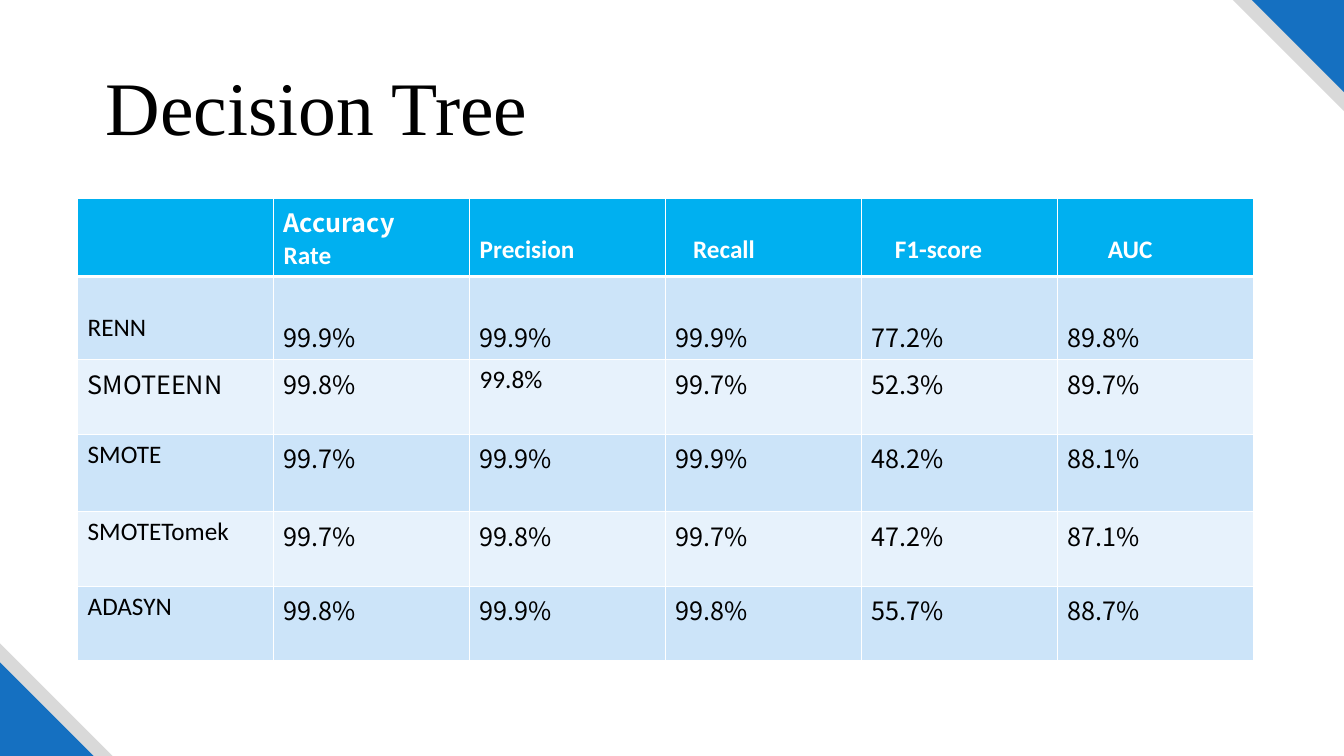
from lxml import etree
from pptx import Presentation
from pptx.dml.color import RGBColor
from pptx.enum.shapes import MSO_SHAPE
from pptx.enum.text import MSO_ANCHOR, PP_ALIGN
from pptx.oxml.ns import qn
from pptx.util import Cm, Pt

TRIANGLE = MSO_SHAPE.RIGHT_TRIANGLE
BOTTOM = MSO_ANCHOR.BOTTOM
LEFT = PP_ALIGN.LEFT
LATIN = "Calibri"
SANS = "Noto Sans CJK SC"
WIDTH, HEIGHT = 33.87, 19.05


def color(value):
    return RGBColor.from_string(value)


def add_borders(cell, widths):
    properties = cell._tc.get_or_add_tcPr()
    for index, (side, width) in enumerate(widths.items()):
        line = etree.Element(qn(f"a:{side}"), w=str(Pt(width)))
        fill = etree.SubElement(line, qn("a:solidFill"))
        etree.SubElement(fill, qn("a:srgbClr"), val="FFFFFF")
        properties.insert(index, line)


deck = Presentation()
deck.slide_width, deck.slide_height = Cm(WIDTH), Cm(HEIGHT)
page = deck.slides.add_slide(deck.slide_layouts[5])

corners = [
    (0, HEIGHT - 2.84, 2.84, 0, "D9D9D9"),
    (0, HEIGHT - 2.36, 2.36, 0, "1570C1"),
    (WIDTH - 2.8, 0, 2.8, 180, "D9D9D9"),
    (WIDTH - 2.32, 0, 2.32, 180, "1570C1"),
]
for left, top, size, rotation, fill in corners:
    corner = page.shapes.add_shape(TRIANGLE, Cm(left), Cm(top), Cm(size), Cm(size))
    corner.rotation = rotation
    corner.shadow.inherit = False
    corner.fill.solid()
    corner.fill.fore_color.rgb = color(fill)
    corner.line.fill.background()

title = page.shapes.title
title.left, title.top, title.width, title.height = Cm(2.41), Cm(-0.03), Cm(29.11), Cm(4.8)
frame = title.text_frame
frame.text = "Decision Tree"
frame.word_wrap = True
frame.vertical_anchor = BOTTOM
frame.margin_bottom = Cm(0.94)
para = frame.paragraphs[0]
para.alignment = LEFT
para.line_spacing = 0.9
span = para.runs[0]
span.font.name = "Times New Roman"
span.font.size = Pt(54)
span.font.color.rgb = color("000000")

rows = [
    ["", "Accuracy\nRate", "Precision", "Recall", "F1-score", "AUC"],
    ["RENN", "99.9%", "99.9%", "99.9%", "77.2%", "89.8%"],
    ["SMOTEENN", "99.8%", "99.8%", "99.7%", "52.3%", "89.7%"],
    ["SMOTE", "99.7%", "99.9%", "99.9%", "48.2%", "88.1%"],
    ["SMOTETomek", "99.7%", "99.8%", "99.7%", "47.2%", "87.1%"],
    ["ADASYN", "99.8%", "99.9%", "99.8%", "55.7%", "88.7%"],
]
row_heights = [1.97, 2.09, 1.88, 1.95, 1.88, 1.88]
header_indents = [0.25, 0.25, 0.25, 0.69, 0.83, 1.26]
column_width = 4.94
table = page.shapes.add_table(
    len(rows), len(rows[0]), Cm(1.96), Cm(5), Cm(6 * column_width), Cm(sum(row_heights))
).table
for column in table.columns:
    column.width = Cm(column_width)

for row, texts in enumerate(rows):
    table.rows[row].height = Cm(row_heights[row])
    header = row == 0
    for column, text in enumerate(texts):
        cell = table.cell(row, column)
        cell.text_frame.text = text
        cell.fill.solid()
        fill = "00B0F0" if header else ("E7F2FC", "CCE4F9")[row % 2]
        cell.fill.fore_color.rgb = color(fill)
        add_borders(cell, {
            "lnL": 1,
            "lnR": 1,
            "lnT": 3 if row == 1 else 1,
            "lnB": 3 if header else 1,
        })
        calibri = header or column == 0
        if text in ("Accuracy\nRate", "SMOTEENN") or (row, column) == (2, 2):
            calibri = (row, column) == (2, 2)
        lowered = row == 1 or (header and column > 1)
        cell.margin_left = Cm(header_indents[column] if header else 0.25)
        cell.margin_top = Cm((0.9 if calibri else 1.05) if lowered else 0.13)
        for index, para in enumerate(cell.text_frame.paragraphs):
            para.font.size = Pt(18)
            for span in para.runs:
                span.font.name = LATIN if calibri or index == 1 else SANS
                span.font.size = Pt(18)
                span.font.bold = header
                span.font.color.rgb = color("FFFFFF" if header else "000000")

deck.save("out.pptx")
